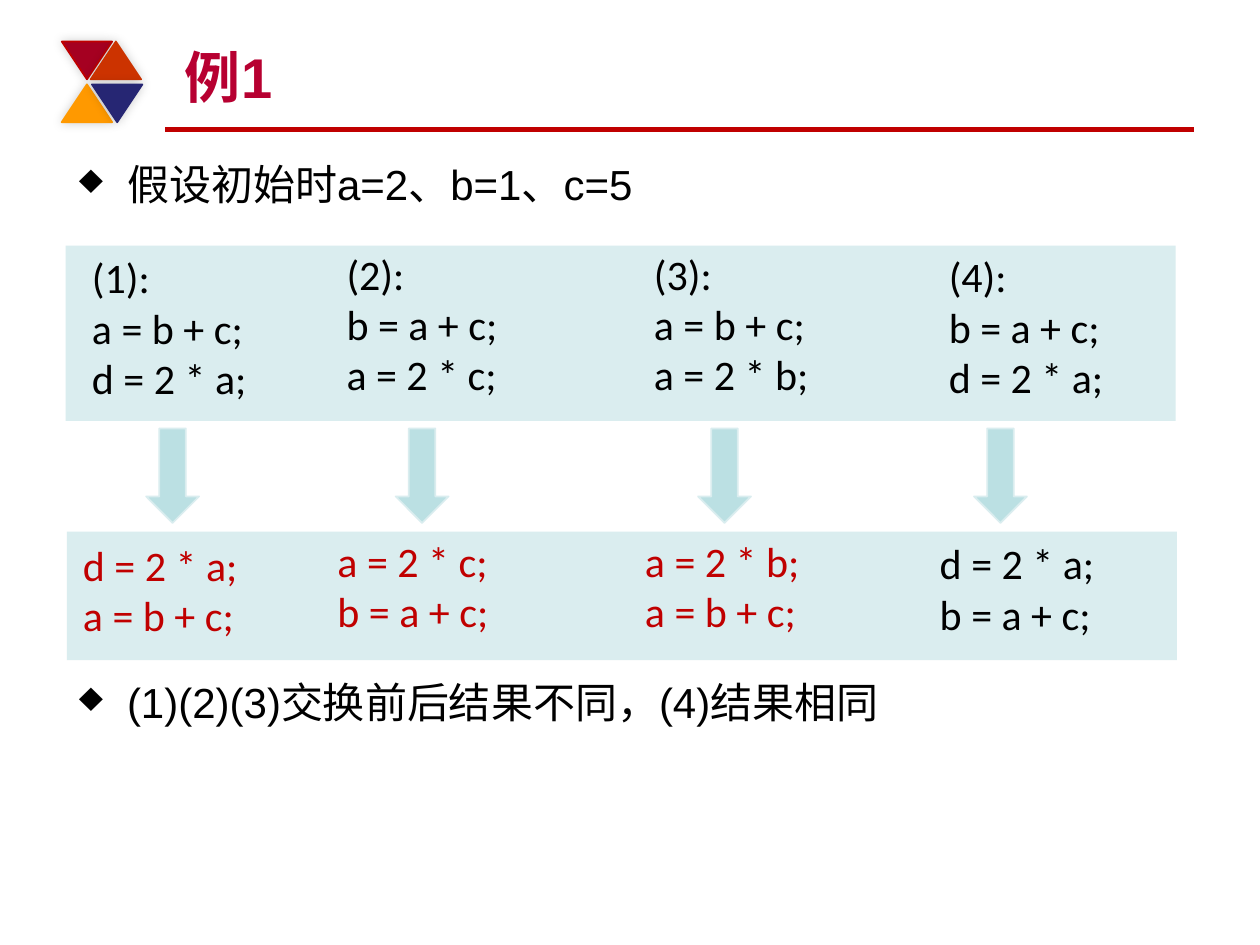
from lxml import etree
from pptx import Presentation, util as u
from pptx.dml.color import RGBColor
from pptx.enum import shapes, text
from pptx.oxml.ns import qn

COLUMNS, ROWS = 100, 75
BLACK, RED, TITLE_RED = "000000", "C00000", "B70031"
PANEL, ARROW = "DAEDEF", "BBE0E3"


def color(value):
    return RGBColor.from_string(value)


class Painter:
    """Holds the style and the current slide; lengths are grid columns and rows."""

    def __init__(self, deck):
        self.cell_width = deck.slide_width / COLUMNS
        self.cell_height = deck.slide_height / ROWS
        self.slide = deck.slides.add_slide(deck.slide_layouts[6])
        self.heading_font, self.code_font = "Arial", "Calibri"
        self.size = 24

    def place(self, left, top, width, height):
        return (round(left * self.cell_width), round(top * self.cell_height),
                round(width * self.cell_width), round(height * self.cell_height))

    def shape(self, kind, at, fill, line=None, rotation=0):
        shape = self.slide.shapes.add_shape(kind, *self.place(*at))
        shape.shadow.inherit = False
        shape.rotation = rotation
        shape.fill.solid()
        shape.fill.fore_color.rgb = color(fill)
        if line:
            shape.line.color.rgb = color(line)
            shape.line.width = u.Pt(1)
        else:
            shape.line.fill.background()
        return shape

    def triangle(self, at, fill, line, rotation):
        shape = self.shape(shapes.MSO_SHAPE.ISOSCELES_TRIANGLE, at, fill, line, rotation)
        # Soft glow-like shadow
        effects = shape._element.spPr.find(qn("a:effectLst"))
        shadow = etree.SubElement(effects, qn("a:outerShdw"), blurRad=str(u.Pt(6)),
                                  dist="0", dir="18900000", rotWithShape="0")
        tint = etree.SubElement(shadow, qn("a:srgbClr"), val=BLACK)
        etree.SubElement(tint, qn("a:alpha"), val="20000")

    def rule(self, left, right, row, line, weight):
        x, y, width, _ = self.place(left, row, right - left, 0)
        rule = self.slide.shapes.add_connector(shapes.MSO_CONNECTOR.STRAIGHT,
                                               x, y, x + width, y)
        rule.line.color.rgb = color(line)
        rule.line.width = u.Pt(weight)
        etree.SubElement(rule._element.spPr, qn("a:effectLst"))

    def text(self, at, lines, font, ink=BLACK, size=None, bold=False):
        box = self.slide.shapes.add_textbox(*self.place(*at))
        frame = box.text_frame
        frame.word_wrap = True
        frame.text = "\n".join(lines)
        for para in frame.paragraphs:
            para.font.name = font
            para.font.size = u.Pt(size or self.size)
            para.font.bold = bold
            para.font.color.rgb = color(ink)
        return frame

    def title(self, at, words):
        frame = self.text(at, [words], self.heading_font, TITLE_RED, 32, True)
        frame.vertical_anchor = text.MSO_ANCHOR.BOTTOM

    def bullets(self, at, lines, gap):
        frame = self.text(at, lines, self.heading_font)
        for index, para in enumerate(frame.paragraphs):
            para.space_before = u.Pt(gap if index else 0)
            props = para._p.get_or_add_pPr()
            props.set("marL", str(u.Inches(0.38)))
            props.set("indent", str(-u.Inches(0.38)))
            bullet = etree.Element(qn("a:buChar"), char="♦")
            props.find(qn("a:spcBef")).addnext(bullet)

    def code(self, at, lines, ink=BLACK, inset=0.1):
        frame = self.text(at, lines, self.code_font, ink)
        frame.margin_left = u.Inches(inset)
        frame.auto_size = text.MSO_AUTO_SIZE.SHAPE_TO_FIT_TEXT


def main():
    deck = Presentation()
    deck.slide_width, deck.slide_height = u.Inches(10), u.Inches(7.5)
    painter = Painter(deck)

    # Heading rule and triangle ornament
    painter.rule(13.1, 94.8, 10.3, RED, 3)
    for left, top, fill, line, rotation in [
        (4.9, 3.3, "A50021", RED, 180),
        (7.2, 3.3, "CC3300", "CC3300", 0),
        (4.9, 6.7, "FF9900", "FF9900", 0),
        (7.3, 6.7, "262673", "262673", 180),
    ]:
        painter.triangle((left, top, 4, 3), fill, line, rotation)

    # Title and the two statements
    painter.bullets((5.3, 12.1, 89.5, 59.6),
                    ["假设初始时a=2、b=1、c=5", "(1)(2)(3)交换前后结果不同，(4)结果相同"], gap=267)
    painter.title((13.7, 2.5, 80, 6.7), "例1")

    # Panels behind the original and the swapped order
    painter.shape(shapes.MSO_SHAPE.RECTANGLE, (5.2, 19.5, 88.1, 13.9), PANEL)
    painter.shape(shapes.MSO_SHAPE.RECTANGLE, (5.3, 42.2, 88.1, 10.2), PANEL)

    # Each case: statements, arrow, same statements swapped
    cases = [
        (5.5, 19.5, 11.6, ["a = b + c;", "d = 2 * a;"], RED),
        (25.7, 19.2, 31.4, ["b = a + c;", "a = 2 * c;"], RED),
        (50.1, 19.2, 55.4, ["a = b + c;", "a = 2 * b;"], RED),
        (73.5, 19.4, 77.3, ["b = a + c;", "d = 2 * a;"], BLACK),
    ]
    for number, (left, top, arrow_left, statements, ink) in enumerate(cases, 1):
        painter.code((left, top, 18.9, 13.1), [f"({number}):"] + statements, inset=0.18)
        painter.code((left + 0.1, top + 22.8, 18.9, 9.1), statements[::-1], ink)
        painter.shape(shapes.MSO_SHAPE.DOWN_ARROW, (arrow_left, 34, 4.2, 7.5), ARROW, PANEL)

    deck.save("out.pptx")


if __name__ == "__main__":
    main()
